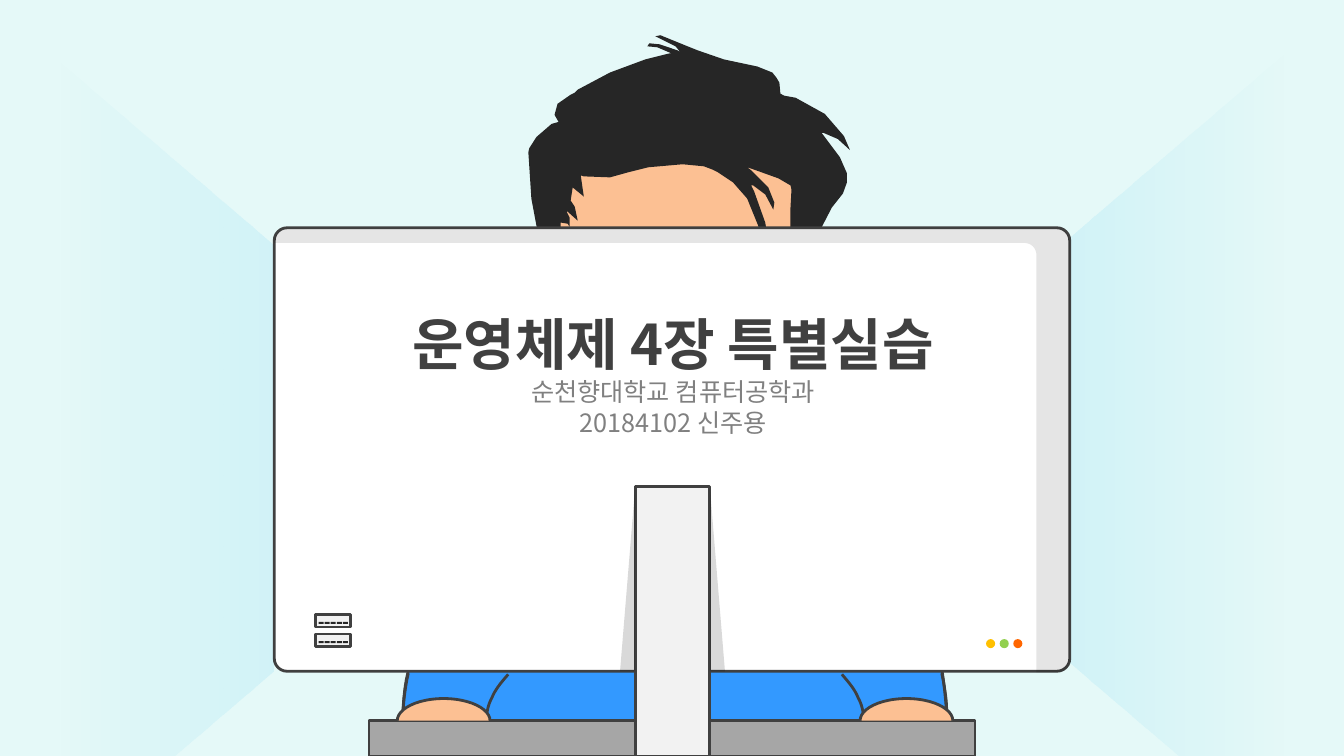
from lxml import etree
from pptx import Presentation
from pptx import util as u
from pptx.dml import color
from pptx.enum import shapes, text
from pptx.oxml import ns

HUES = dict(
    back="E5F9F8", glow="00B0F0", shirt="3399FF", skin="FCC093", hair="262626",
    white="FFFFFF", edge="404040", desk="A6A6A6", pale="F2F2F2", black="000000",
    gray="808080", gold="FFC000", green="92D050", red="FF6600",
)
FACE = "Noto Sans CJK KR"
KIND = shapes.MSO_SHAPE

SHIRT = """M 3.97 7.28 C 4.01 7.15 3.98 6.72 4.11 6.51 C 4.25 6.3 4.48 6.11 4.75 6.03
C 5.02 5.94 5.18 6 5.71 6 C 6.24 6 7.37 6 7.93 6.03 C 8.49 6.06 8.84 6.1 9.07 6.18
C 9.3 6.26 9.26 6.32 9.31 6.49 C 9.36 6.67 9.4 7.1 9.39 7.24 C 9.37 7.38 9.25 7.31 9.19 7.34
C 9.14 7.36 9.15 7.4 9.06 7.4 C 8.96 7.41 8.63 7.38 8.63 7.38 L 6.31 7.39
C 5.57 7.38 4.98 7.35 4.53 7.32 C 4.08 7.29 3.94 7.35 3.85 7.34 C 3.75 7.33 3.92 7.42 3.97 7.28"""
HEAD = """M 5.44 1.86 C 5.43 2.06 5.31 2.69 5.47 2.92 C 5.63 3.14 6.12 3.16 6.42 3.19
C 6.72 3.23 7.04 3.19 7.26 3.11 C 7.49 3.03 7.64 2.86 7.76 2.74 C 7.89 2.61 7.96 2.53 8.01 2.38
C 8.07 2.22 8.13 1.97 8.1 1.81 C 8.07 1.65 8.06 1.51 7.83 1.42 C 7.6 1.33 7.04 1.25 6.71 1.26
C 6.38 1.28 6.02 1.44 5.83 1.51 C 5.64 1.59 5.63 1.65 5.57 1.71 C 5.5 1.77 5.46 1.66 5.44 1.86"""
CROWN = """M 5.5 2.97 L 5.47 2.92 5.4 2.72 5.34 2.37 5.33 2.29 5.27 1.97 5.24 1.51 5.25 1.47
5.32 1.36 5.47 1.23 5.54 1.21 5.5 1.14 5.53 1.03 5.66 0.94 5.7 0.92 5.73 0.89 6.05 0.72
6.4 0.59 6.64 0.53 6.66 0.53 6.52 0.47 6.42 0.46 6.44 0.43 6.54 0.44 6.72 0.5 6.75 0.52
6.7 0.46 6.5 0.36 6.55 0.35 6.77 0.44 6.92 0.5 7.18 0.59 7.51 0.66 7.66 0.72 7.7 0.77
7.73 0.82 7.74 0.93 7.78 0.95 7.89 0.97 8.18 1.13 8.37 1.35 8.43 1.49 8.31 1.38 8.17 1.32
8.15 1.32 8.18 1.36 8.33 1.56 8.4 1.72 8.4 1.81 8.36 1.92 8.25 2.06 8.1 2.35 8.03 2.57"""
FRINGE = """L 8.01 2.71 7.96 2.92 7.92 3.01 7.9 3.02 7.87 2.99 7.84 2.69 7.84 2.06 7.85 1.88
7.84 1.84 7.72 1.77 7.47 1.68 7.41 1.66 7.45 1.69 7.62 1.86 7.68 2.01 7.67 2.08 7.59 1.93
7.47 1.84 7.45 1.84 7.48 1.9 7.59 2.21 7.61 2.34 7.58 2.41 7.56 2.43 7.52 2.24 7.41 1.97
7.27 1.81 7.12 1.71 7.06 1.68 6.98 1.65 6.77 1.63 6.43 1.66 6.23 1.71 6.05 1.76 5.79 1.75
5.76 1.74 5.79 1.95 5.68 1.86 5.66 1.99 5.7 2.05 5.73 2.19 5.63 2.1 5.62 2.1 5.65 2.16
5.65 2.25 5.63 2.22 5.57 2.21 5.56 2.21 5.56 2.31 5.56 2.73 5.54 2.94"""
SHADE = """M 2.85 2.27 L 10.48 2.27 C 10.55 2.27 10.61 2.33 10.61 2.4 L 10.61 6.54
C 10.61 6.62 10.55 6.67 10.48 6.67 L 10.28 6.67 10.28 2.54 C 10.28 2.46 10.23 2.41 10.15 2.41
L 2.72 2.41 2.72 2.4 C 2.72 2.33 2.78 2.27 2.85 2.27"""
ARMS = [
    "M 4.82 7.14 C 4.83 7.06 4.84 6.99 4.88 6.92 C 4.91 6.84 4.98 6.76 5.04 6.69",
    "M 4 7.14 C 4 7.06 4 6.99 4.01 6.91 C 4.02 6.84 4.03 6.76 4.05 6.68",
    "M 8.57 7.13 C 8.56 7.06 8.55 6.99 8.51 6.92 C 8.48 6.84 8.41 6.76 8.35 6.69",
    "M 9.39 7.14 C 9.39 7.06 9.39 6.99 9.38 6.91 C 9.37 6.84 9.36 6.76 9.34 6.68",
]


def rgb(name):
    """Return the named colour."""
    return color.RGBColor.from_string(HUES[name])


def trace(route, steps=10):
    """Turn move, line and curve marks into a list of points."""
    dots, curve = [], []
    marks = iter(route.split())
    mode = "M"
    for mark in marks:
        if mark in "MLC":
            mode = mark
            continue
        dot = float(mark), float(next(marks))
        if mode != "C":
            dots.append(dot)
            continue
        curve.append(dot)
        if len(curve) == 3:
            knots = [dots[-1], *curve]
            for i in range(1, steps + 1):
                t = i / steps
                mix = (1 - t) ** 3, 3 * t * (1 - t) ** 2, 3 * t * t * (1 - t), t ** 3
                dots.append(tuple(sum(m * k[a] for m, k in zip(mix, knots)) for a in (0, 1)))
            curve = []
    return dots


class Scene:
    """Hold the style and the current slide."""

    def __init__(self, slide):
        """Set the slide and its backdrop."""
        self.slide = slide
        fill = slide.background.fill
        fill.solid()
        fill.fore_color.rgb = rgb("back")

    def fade(self, node, part):
        """Make the colours below a node partly clear."""
        for tint in node.iter(ns.qn("a:srgbClr")):
            etree.SubElement(tint, ns.qn("a:alpha")).set("val", str(part * 1000))

    def paint(self, shape, hue=None, line=False, part=None):
        """Give a shape its fill and outline."""
        shape.shadow.inherit = False
        if hue:
            shape.fill.solid()
            shape.fill.fore_color.rgb = rgb(hue)
        else:
            shape.fill.background()
        if part is not None:
            self.fade(shape._element.spPr, part)
        if line:
            shape.line.color.rgb = rgb("edge")
            shape.line.width = u.Pt(2)
        else:
            shape.line.fill.background()

    def block(self, kind, box, hue, line=False, part=None, turn=0, flip="", bend=None):
        """Draw a preset shape."""
        shape = self.slide.shapes.add_shape(kind, *map(u.Inches, box))
        self.paint(shape, hue, line, part)
        shape.rotation = turn
        for axis in flip:
            shape._element.spPr.xfrm.set("flip" + axis, "1")
        if bend is not None:
            shape.adjustments[0] = bend
        return shape

    def glow(self, box, turn, flip):
        """Draw a wall of light that fades outward."""
        wall = self.block(KIND.TRAPEZOID, box, "glow", turn=turn, flip=flip, bend=0.857)
        wall.fill.gradient()
        wall.fill.gradient_angle = 90
        for stop, spot, part in zip(wall.fill.gradient_stops, (0, 1), (0, 9)):
            stop.color.rgb = rgb("glow")
            stop.position = spot
            self.fade(stop._gs, part)

    def free(self, route, hue=None, line=False, part=None):
        """Draw an outline, closed when it has a fill."""
        dots = [tuple(map(u.Inches, dot)) for dot in trace(route)]
        pen = self.slide.shapes.build_freeform(*dots[0])
        pen.add_line_segments(dots[1:], close=bool(hue))
        self.paint(pen.convert_to_shape(), hue, line, part)

    def words(self, box, rows):
        """Write centred rows of text."""
        frame = self.slide.shapes.add_textbox(*map(u.Inches, box)).text_frame
        frame.word_wrap = True
        frame.auto_size = text.MSO_AUTO_SIZE.SHAPE_TO_FIT_TEXT
        for i, (line, size, hue, bold) in enumerate(rows):
            para = frame.add_paragraph() if i else frame.paragraphs[0]
            para.alignment = text.PP_ALIGN.CENTER
            run = para.add_run()
            run.text = line
            for key, val in dict(name=FACE, size=u.Pt(size), bold=bold).items():
                setattr(run.font, key, val)
            run.font.color.rgb = rgb(hue)
            etree.SubElement(run._r.get_or_add_rPr(), ns.qn("a:ea")).set("typeface", FACE)


def main():
    """Build the title slide."""
    deck = Presentation()
    deck.slide_width, deck.slide_height = u.Inches(13.33), u.Inches(7.5)
    scene = Scene(deck.slides.add_slide(deck.slide_layouts[6]))

    scene.glow((-2.45, 3.42, 8.08, 2.25), 270, "V")
    scene.glow((7.7, 3.34, 8.08, 2.25), 90, "HV")
    scene.free(SHIRT, "shirt", True)
    scene.free(HEAD, "skin")
    scene.free(" ".join([CROWN, FRINGE]), "hair")
    scene.block(KIND.ROUNDED_RECTANGLE, (2.72, 2.26, 7.89, 4.4), "white", True, bend=0.029)
    scene.block(KIND.RECTANGLE, (3.66, 7.15, 6.01, 0.35), "desk", True)
    scene.block(KIND.RECTANGLE, (6.3, 4.83, 0.74, 2.67), "pale", True)
    for left, flip in ((6.15, "H"), (7.04, "")):
        scene.block(KIND.RIGHT_TRIANGLE, (left, 4.83, 0.15, 1.83), "black", part=15, flip=flip)
    for arm in ARMS:
        scene.free(arm, line=True)
    for left, turn, flip in ((4.29, 90, ""), (8.88, 270, "H")):
        scene.block(KIND.LEFT_BRACKET, (left, 6.58, 0.22, 0.92), "skin", True,
                    turn=turn, flip=flip, bend=2.142)
    scene.free(SHADE, "black", part=10)

    for top in (6.1, 6.29):
        scene.block(KIND.RECTANGLE, (3.13, top, 0.35, 0.12), "pale", True)
        for i in range(5):
            scene.block(KIND.RECTANGLE, (3.16 + 0.06 * i, top + 0.07, 0.05, 0.02), "hair")
    for i, hue in enumerate(("gold", "green", "red")):
        scene.block(KIND.OVAL, (9.78 + 0.135 * i, 6.34, 0.09, 0.09), hue)

    scene.words((3.34, 3.02, 6.67, 1.38), [
        ("운영체제 4장 특별실습", 40, "edge", True),
        ("순천향대학교 컴퓨터공학과", 18, "gray", False),
        ("20184102 신주용", 18, "gray", False),
    ])
    deck.save("out.pptx")


if __name__ == "__main__":
    main()
